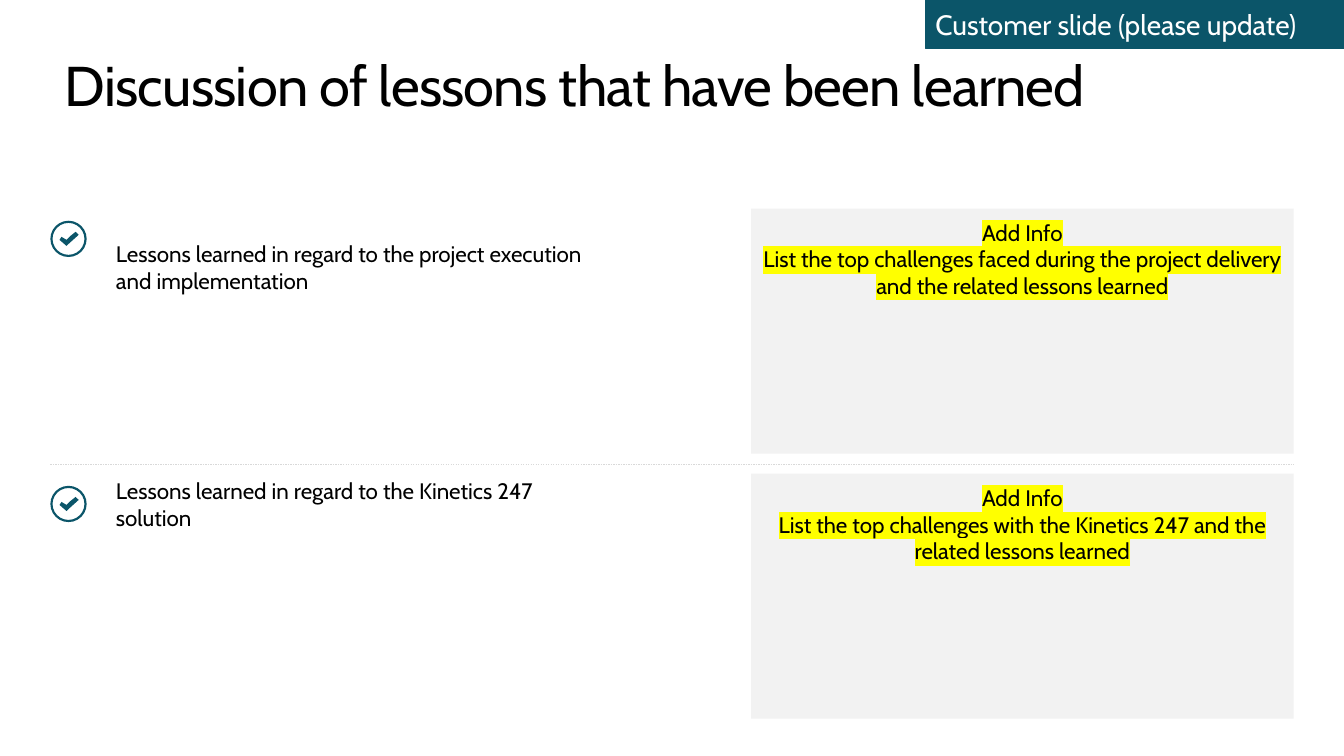
import pptx
import pptx.dml.color
import pptx.enum.dml
import pptx.enum.shapes
import pptx.enum.text
import pptx.oxml
import pptx.oxml.ns
import pptx.util

SHAPE = pptx.enum.shapes.MSO_SHAPE
ANCHOR = pptx.enum.text.MSO_ANCHOR
ALIGN = pptx.enum.text.PP_ALIGN
EMU_PER_PX = 9144  # 100 px to the inch

TEAL, GREY, RULE_GREY = "0B5569", "F2F2F2", "D9D9D9"
BLACK, WHITE, YELLOW = "000000", "FFFFFF", "FFFF00"

TICK = [(25, 11), (20, 15), (16, 19), (11, 16), (9, 19), (16, 25), (18, 23), (28, 14)]

# label, label top, label height, panel top, panel text
LESSONS = [
    ("Lessons learned in regard to the project execution and implementation", 207, 116, 207,
     "List the top challenges faced during the project delivery and the related lessons learned"),
    ("Lessons learned in regard to the Kinetics 247 solution", 472, 57, 470,
     "List the top challenges with the Kinetics 247 and the related lessons learned"),
]


def px(length):
    return pptx.util.Emu(length * EMU_PER_PX)


def color(hex_string):
    return pptx.dml.color.RGBColor.from_string(hex_string)


def element(tag, inner=""):
    namespace = pptx.oxml.ns.nsdecls("a")
    return pptx.oxml.parse_xml(f"<a:{tag} {namespace}>{inner}</a:{tag}>")


class SlideBuilder:
    """Holds the text style and the slide being filled."""

    def __init__(self, page, font="Cabin", size=16):
        self.page = page
        self.font = font
        self.size = size

    def set_text(self, shape, lines, insets, size=None, ink=BLACK, align=ALIGN.LEFT,
                 anchor=ANCHOR.TOP, highlight=None, tracking=None):
        """Fill a shape with one paragraph per line; insets run left, top, right, bottom."""
        frame = shape.text_frame
        frame.word_wrap = True
        frame.vertical_anchor = anchor
        frame.margin_left, frame.margin_top, frame.margin_right, frame.margin_bottom = map(px, insets)
        frame.text = "\n".join(lines)
        for para in frame.paragraphs:
            para.alignment = align
            para.font.name = self.font
            para.font.size = pptx.util.Pt(size or self.size)
            para.font.color.rgb = color(ink)
            for span in para.runs:
                properties = span.font._element
                if highlight:
                    properties.append(element("highlight", f'<a:srgbClr val="{highlight}"/>'))
                if tracking:
                    properties.set("spc", str(tracking))

    def text(self, left, top, width, height, lines, insets, **style):
        box = self.page.shapes.add_textbox(px(left), px(top), px(width), px(height))
        self.set_text(box, lines, insets, **style)

    def paint(self, shape, fill, outline=None):
        shape.shadow.inherit = False
        shape.fill.solid()
        shape.fill.fore_color.rgb = color(fill)
        if outline:
            shape.line.color.rgb = color(outline)
            shape.line.width = pptx.util.Pt(0.25)
        else:
            shape.line.fill.background()

    def panel(self, left, top, width, height, fill, lines, insets, outline=None, **style):
        box = self.page.shapes.add_shape(SHAPE.RECTANGLE, px(left), px(top), px(width), px(height))
        self.paint(box, fill, outline)
        self.set_text(box, lines, insets, **style)

    def rule(self, left, right, y):
        line = self.page.shapes.add_connector(
            pptx.enum.shapes.MSO_CONNECTOR.STRAIGHT, px(left), px(y), px(right), px(y))
        line.line.color.rgb = color(RULE_GREY)
        line.line.width = pptx.util.Pt(0.25)
        line.line.dash_style = pptx.enum.dml.MSO_LINE.DASH
        line._element.spPr.append(element("effectLst"))

    def check_icon(self, left, top, size=36):
        group = self.page.shapes.add_group_shape()
        ring = group.shapes.add_shape(SHAPE.DONUT, px(left), px(top), px(size), px(size))
        ring.adjustments[0] = 0.06
        self.paint(ring, TEAL)
        points = [(left + x, top + y) for x, y in TICK]
        outline = group.shapes.build_freeform(*points[0], scale=EMU_PER_PX)
        outline.add_line_segments(points[1:], close=True)
        self.paint(outline.convert_to_shape(), TEAL)


def main():
    deck = pptx.Presentation()
    deck.slide_width, deck.slide_height = px(1333), px(750)
    slide = SlideBuilder(deck.slides.add_slide(deck.slide_layouts[6]))

    slide.text(64, 50, 1205, 61, ["Discussion of lessons that have been learned"],
               (0, 0, 0, 0), size=40, tracking=-50)
    slide.rule(50, 1283, 460)
    for label, label_top, label_height, panel_top, prompt in LESSONS:
        slide.text(55, label_top, 551, label_height, [label], (60, 5, 10, 5), anchor=ANCHOR.MIDDLE)
        slide.check_icon(50, panel_top + 12)
        slide.panel(745, panel_top, 538, 243, GREY, ["Add Info", prompt], (10, 10, 10, 5),
                    align=ALIGN.CENTER, highlight=YELLOW)
    slide.panel(918, 0, 416, 48, TEAL, ["Customer slide (please update)"], (10, 5, 10, 5),
                outline=TEAL, size=20, ink=WHITE, anchor=ANCHOR.MIDDLE)

    deck.save("out.pptx")


if __name__ == "__main__":
    main()
